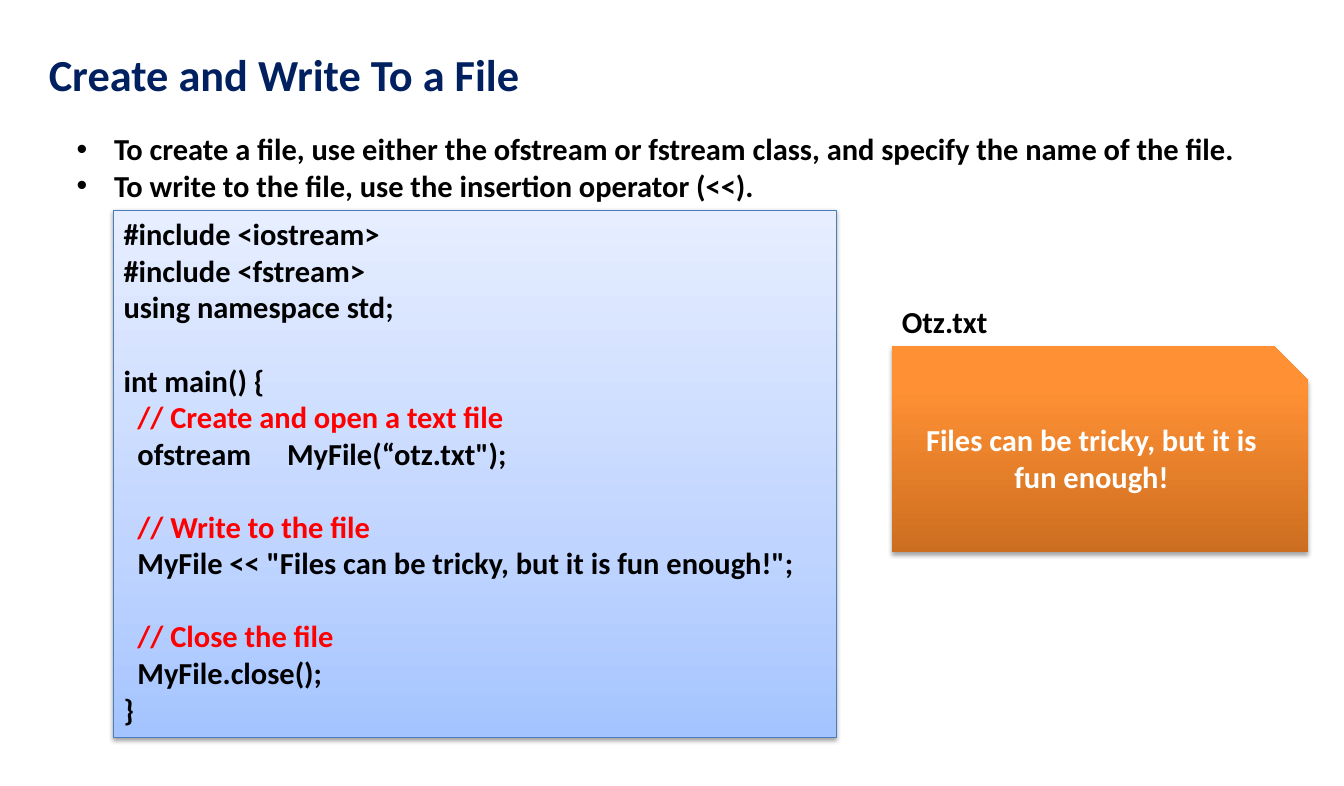
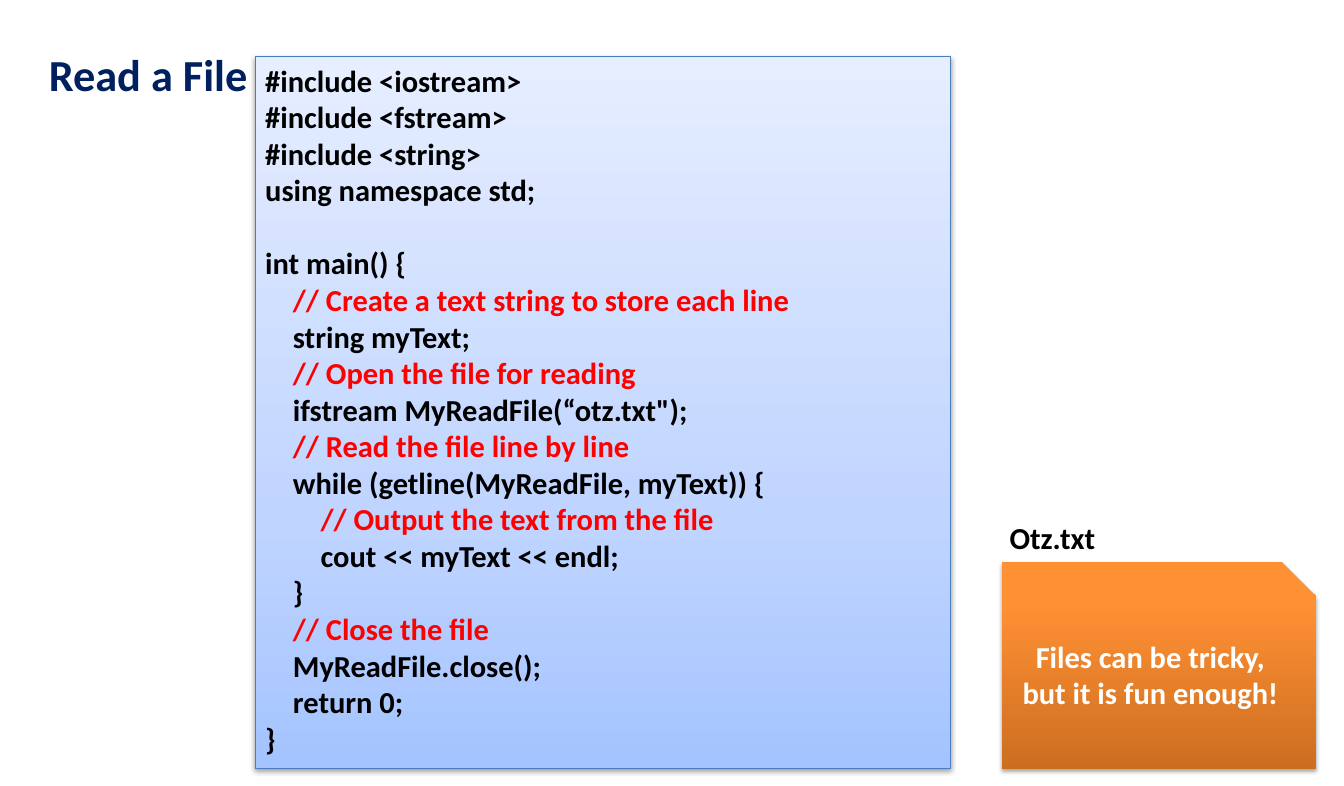
from dataclasses import dataclass

from lxml.etree import SubElement
from pptx import Presentation
from pptx.dml.color import RGBColor
from pptx.enum.shapes import MSO_SHAPE
from pptx.enum.text import MSO_ANCHOR, PP_ALIGN
from pptx.oxml.ns import qn
from pptx.util import Pt


@dataclass(frozen=True)
class Theme:
    font: str = "Calibri"
    title_size: float = 32
    body_size: float = 22
    line_height: float = 26.4
    title: str = "002060"
    ink: str = "000000"
    comment: str = "FF0000"
    card_text: str = "FFFFFF"
    code_border: str = "4B7EBC"
    code_stops: tuple = ((0, "A4C4FF"), (35, "BFD4FF"), (100, "E6EEFF"))
    card_stops: tuple = ((0, "CC6E20"), (80, "FF9034"), (100, "FF9136"))


THEME = Theme()
FILE_NAME = "Otz.txt"
FILE_CONTENT = "Files can be tricky, but it is fun enough!"

WRITE_BULLETS = [
    "To create a file, use either the ofstream or fstream class, and specify the name of the file.",
    "To write to the file, use the insertion operator (<<).",
]

WRITE_CODE = [
    [(0, "#include <iostream>"), (0, "#include <fstream>"), (0, "using namespace std;")],
    [(0, "int main() {"), (1, "// Create and open a text file"), (1, "ofstream\tMyFile(“otz.txt\");")],
    [(1, "// Write to the file"), (1, f'MyFile << "{FILE_CONTENT}";')],
    [(1, "// Close the file"), (1, "MyFile.close();"), (0, "}")],
]

READ_CODE = [
    [
        (0, "#include <iostream>"),
        (0, "#include <fstream>"),
        (0, "#include <string>"),
        (0, "using namespace std;"),
    ],
    [
        (0, "int main() {"),
        (1, "// Create a text string to store each line"),
        (1, "string myText;"),
        (1, "// Open the file for reading"),
        (1, "ifstream MyReadFile(“otz.txt\");"),
        (1, "// Read the file line by line"),
        (1, "while (getline(MyReadFile, myText)) {"),
        (2, "// Output the text from the file"),
        (2, "cout << myText << endl;"),
        (1, "}"),
        (1, "// Close the file"),
        (1, "MyReadFile.close();"),
        (1, "return 0;"),
        (0, "}"),
    ],
]


def points(box):
    return [Pt(length) for length in box]


def style(paragraph, color, size=THEME.body_size):
    font = paragraph.font
    font.name, font.size, font.bold = THEME.font, Pt(size), True
    font.color.rgb = RGBColor.from_string(color)


def write_lines(frame, lines):
    for index, line in enumerate(lines):
        paragraph = frame.add_paragraph() if index else frame.paragraphs[0]
        paragraph.text = line
        yield paragraph


def add_text(slide, box, lines, color=THEME.ink, size=THEME.body_size):
    frame = slide.shapes.add_textbox(*points(box)).text_frame
    frame.word_wrap = True
    paragraphs = list(write_lines(frame, lines))
    for paragraph in paragraphs:
        style(paragraph, color, size)
    return paragraphs


def add_title(slide, title):
    add_text(slide, (28.1, 30.2, 865.4, 46.1), [title], THEME.title, THEME.title_size)


def add_bullets(slide, box, lines, indent=27):
    for paragraph in add_text(slide, box, lines):
        properties = paragraph._p.get_or_add_pPr()
        properties.set("marL", str(Pt(indent)))
        properties.set("indent", str(-Pt(indent)))
        SubElement(properties, qn("a:buFont"), typeface="Arial")
        SubElement(properties, qn("a:buChar"), char="•")


def add_panel(slide, preset, box, stops, shadow_distance, shadow_opacity):
    panel = slide.shapes.add_shape(preset, *points(box))
    panel.fill.gradient()
    panel.fill.gradient_angle = 90
    properties = panel._element.spPr
    stop_list = properties.find(".//" + qn("a:gsLst"))
    stop_list.clear()
    for position, color in stops:
        stop = SubElement(stop_list, qn("a:gs"), pos=str(position * 1000))
        SubElement(stop, qn("a:srgbClr"), val=color)
    panel.line.fill.background()
    panel.shadow.inherit = False
    shadow = SubElement(
        properties.find(qn("a:effectLst")), qn("a:outerShdw"),
        blurRad=str(Pt(3.1)), dist=str(Pt(shadow_distance)), dir="5400000", rotWithShape="0",
    )
    shadow_color = SubElement(shadow, qn("a:srgbClr"), val=THEME.ink)
    SubElement(shadow_color, qn("a:alpha"), val=str(shadow_opacity * 1000))
    panel.text_frame.word_wrap = True
    return panel


def set_code_layout(paragraph, left, tab_stop):
    properties = paragraph._p.get_or_add_pPr()
    properties.set("marL", str(Pt(left)))
    properties.set("indent", "0")
    if "\t" in paragraph.text:
        tabs = SubElement(properties, qn("a:tabLst"))
        SubElement(tabs, qn("a:tab"), pos=str(Pt(tab_stop)), algn="l")


def add_code(slide, box, blocks, indent, tab_stop=117):
    panel = add_panel(slide, MSO_SHAPE.RECTANGLE, box, THEME.code_stops, 1.6, 38)
    panel.line.color.rgb = RGBColor.from_string(THEME.code_border)
    panel.line.width = Pt(0.75)
    frame = panel.text_frame
    frame.vertical_anchor = MSO_ANCHOR.TOP
    lines = [
        (level, text, number > 0 and position == 0)
        for number, block in enumerate(blocks)
        for position, (level, text) in enumerate(block)
    ]
    paragraphs = write_lines(frame, [text for _, text, _ in lines])
    for paragraph, (level, text, starts_block) in zip(paragraphs, lines):
        paragraph.alignment = PP_ALIGN.LEFT
        if starts_block:
            paragraph.space_before = Pt(THEME.line_height)
        set_code_layout(paragraph, level * indent, tab_stop)
        style(paragraph, THEME.comment if text.startswith("//") else THEME.ink)


def add_file_card(slide, left, top, width, label_left):
    card = add_panel(
        slide, MSO_SHAPE.SNIP_1_RECTANGLE, (left, top, width, 149), THEME.card_stops, 1.8, 35
    )
    card.text_frame.vertical_anchor = MSO_ANCHOR.MIDDLE
    paragraph = card.text_frame.paragraphs[0]
    paragraph.text = FILE_CONTENT
    paragraph.alignment = PP_ALIGN.CENTER
    style(paragraph, THEME.card_text)
    add_text(slide, (label_left, top - 34.6, 88.6, 33.8), [FILE_NAME])


def add_slide(deck, title):
    slide = deck.slides.add_slide(deck.slide_layouts[6])
    add_title(slide, title)
    return slide


def main():
    deck = Presentation()
    deck.slide_width, deck.slide_height = Pt(969.8), Pt(567.4)

    writing = add_slide(deck, "Create and Write To a File")
    add_bullets(writing, (48.2, 90.7, 910.8, 60.5), WRITE_BULLETS)
    add_code(writing, (82.1, 151.9, 521.3, 380.2), WRITE_CODE, indent=10)
    add_file_card(writing, 643.7, 249.8, 300.2, label_left=643.7)

    reading = add_slide(deck, "Read a File")
    add_code(reading, (184.3, 41, 501.8, 514.1), READ_CODE, indent=20)
    add_file_card(reading, 722.9, 406.1, 226.8, label_left=721.4)

    deck.save("out.pptx")


if __name__ == "__main__":
    main()
